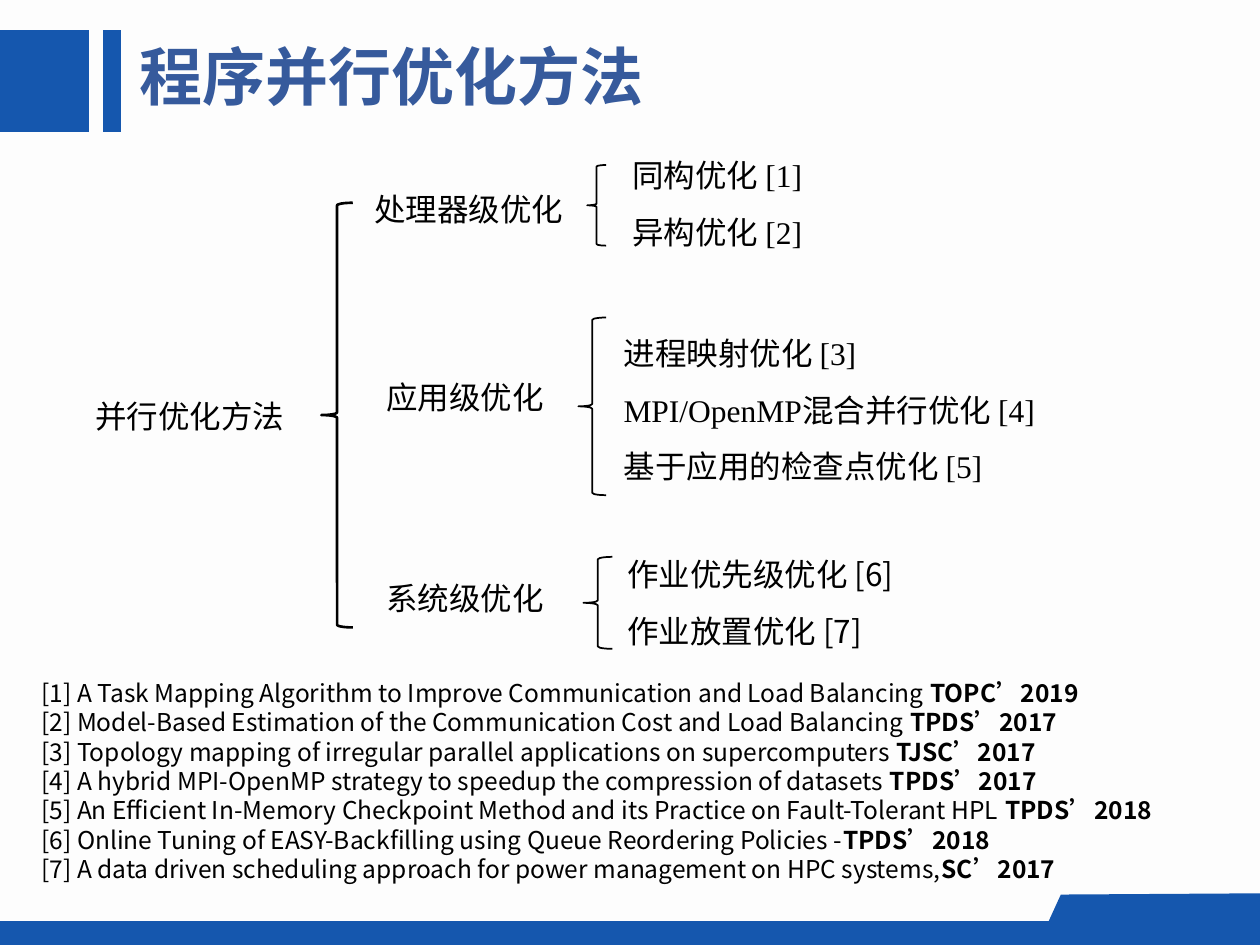
import pptx
import pptx.dml.color
import pptx.enum.shapes
import pptx.enum.text
import pptx.oxml.ns
import pptx.util
from lxml import etree

COLORS = {"back": "FDFDFD", "band": "1557AE", "title": "365A9C", "ink": "000000"}
SANS, SERIF = "Noto Sans CJK SC", "Times New Roman"
WIDTH, HEIGHT = 10, 7.5
COLUMNS, ROWS = 100, 75

TITLE = "程序并行优化方法"
ROOT = "并行优化方法"
ROOT_BRACE = (25.5, 16.1, 2.5, 33.7)
BRANCHES = [
    {"name": "处理器级优化", "name_at": (28.7, 14.6, 17.2, 4), "centered": False,
     "brace": (46.6, 13.1, 1.5, 6.4), "font": SERIF, "wrap": True,
     "leaves": ["同构优化 [1]", "异构优化 [2]"], "leaves_at": (49.2, 10.4, 17.6, 9.5)},
    {"name": "应用级优化", "name_at": (29.6, 29.5, 14.6, 4), "centered": True,
     "brace": (45.9, 25.2, 2.2, 14.1), "font": SERIF, "wrap": True,
     "leaves": ["进程映射优化 [3]", "MPI/OpenMP混合并行优化 [4]", "基于应用的检查点优化 [5]"],
     "leaves_at": (48.5, 24.5, 45.8, 14.1)},
    {"name": "系统级优化", "name_at": (29.6, 45.5, 14.6, 4), "centered": True,
     "brace": (46.3, 44.2, 2.3, 7.3), "font": SANS, "wrap": False,
     "leaves": ["作业优先级优化 [6]", "作业放置优化 [7]"], "leaves_at": (48.8, 42.1, 24.7, 9.4)},
]
REFERENCES = [
    ("A Task Mapping Algorithm to Improve Communication and Load Balancing ", "TOPC’2019"),
    ("Model-Based Estimation of the Communication Cost and Load Balancing ", "TPDS’2017"),
    ("Topology mapping of irregular parallel applications on supercomputers ", "TJSC’2017"),
    ("A hybrid MPI-OpenMP strategy to speedup the compression of datasets ", "TPDS’2017"),
    ("An Efficient In-Memory Checkpoint Method and its Practice on Fault-Tolerant HPL ",
     "TPDS’2018"),
    ("Online Tuning of EASY-Backfilling using Queue Reordering Policies -", "TPDS’2018"),
    ("A data driven scheduling approach for power management on HPC systems,", "SC’2017"),
]
BANDS = [(0, 2.4, 7.1, 8.1), (8.2, 2.4, 1.4, 8.1), (0, 73.1, 100, 1.9)]
TAB_CORNERS = [(100, 74.5), (100, 70.9), (84.2, 71), (82.6, 74.5)]


def color(name):
    return pptx.dml.color.RGBColor.from_string(COLORS[name])


def across(columns):
    return pptx.util.Inches(columns * WIDTH / COLUMNS)


def down(rows):
    return pptx.util.Inches(rows * HEIGHT / ROWS)


def place(area):
    left, top, width, height = area
    return across(left), down(top), across(width), down(height)


def paint_band(shape):
    shape.shadow.inherit = False
    shape.fill.solid()
    shape.fill.fore_color.rgb = color("band")
    shape.line.fill.background()


def add_brace(page, area, weight):
    brace = page.shapes.add_shape(pptx.enum.shapes.MSO_SHAPE.LEFT_BRACE, *place(area))
    brace.shadow.inherit = False
    brace.fill.background()
    brace.line.color.rgb = color("ink")
    brace.line.width = pptx.util.Pt(weight)


def add_text(page, area, lines, size=18, font=SERIF, ink="ink", wrap=True,
             centered=False, spacing=None):
    box = page.shapes.add_textbox(*place(area))
    frame = box.text_frame
    frame.word_wrap = wrap
    frame.auto_size = pptx.enum.text.MSO_AUTO_SIZE.SHAPE_TO_FIT_TEXT
    for index, spans in enumerate(lines):
        para = frame.add_paragraph() if index else frame.paragraphs[0]
        if centered:
            para.alignment = pptx.enum.text.PP_ALIGN.CENTER
        if spacing:
            para.line_spacing = spacing
        for text, bold in spans:
            span = para.add_run()
            span.text = text
            span.font.size = pptx.util.Pt(size)
            span.font.bold = bold
            span.font.color.rgb = color(ink)
            span.font.name = font
            east_asian = etree.SubElement(span.font._element, pptx.oxml.ns.qn("a:ea"))
            east_asian.set("typeface", SANS)


def main():
    deck = pptx.Presentation()
    deck.slide_width = pptx.util.Inches(WIDTH)
    deck.slide_height = pptx.util.Inches(HEIGHT)
    page = deck.slides.add_slide(deck.slide_layouts[6])
    page.background.fill.solid()
    page.background.fill.fore_color.rgb = color("back")

    for area in BANDS:
        paint_band(page.shapes.add_shape(
            pptx.enum.shapes.MSO_SHAPE.FLOWCHART_PROCESS, *place(area)))
    corners = [(across(column), down(row)) for column, row in TAB_CORNERS]
    outline = page.shapes.build_freeform(*corners[0])
    outline.add_line_segments(corners[1:], close=True)
    paint_band(outline.convert_to_shape())

    add_text(page, (10.1, 2.5, 42.6, 7.1), [[(TITLE, True)]], size=36, font=SANS,
             ink="title", wrap=False)
    add_text(page, (2.3, 53.3, 95.1, 17.5),
             [[(f"[{number}] {paper}", False), (venue, True)]
              for number, (paper, venue) in enumerate(REFERENCES, 1)],
             size=14, font=SANS)

    add_text(page, (6.6, 31, 21.4, 4), [[(ROOT, False)]])
    add_brace(page, ROOT_BRACE, 1.5)
    for branch in BRANCHES:
        add_text(page, branch["name_at"], [[(branch["name"], False)]], wrap=False,
                 centered=branch["centered"])
        add_brace(page, branch["brace"], 1)
        add_text(page, branch["leaves_at"], [[(leaf, False)] for leaf in branch["leaves"]],
                 font=branch["font"], wrap=branch["wrap"], spacing=1.5)

    deck.save("out.pptx")


if __name__ == "__main__":
    main()
